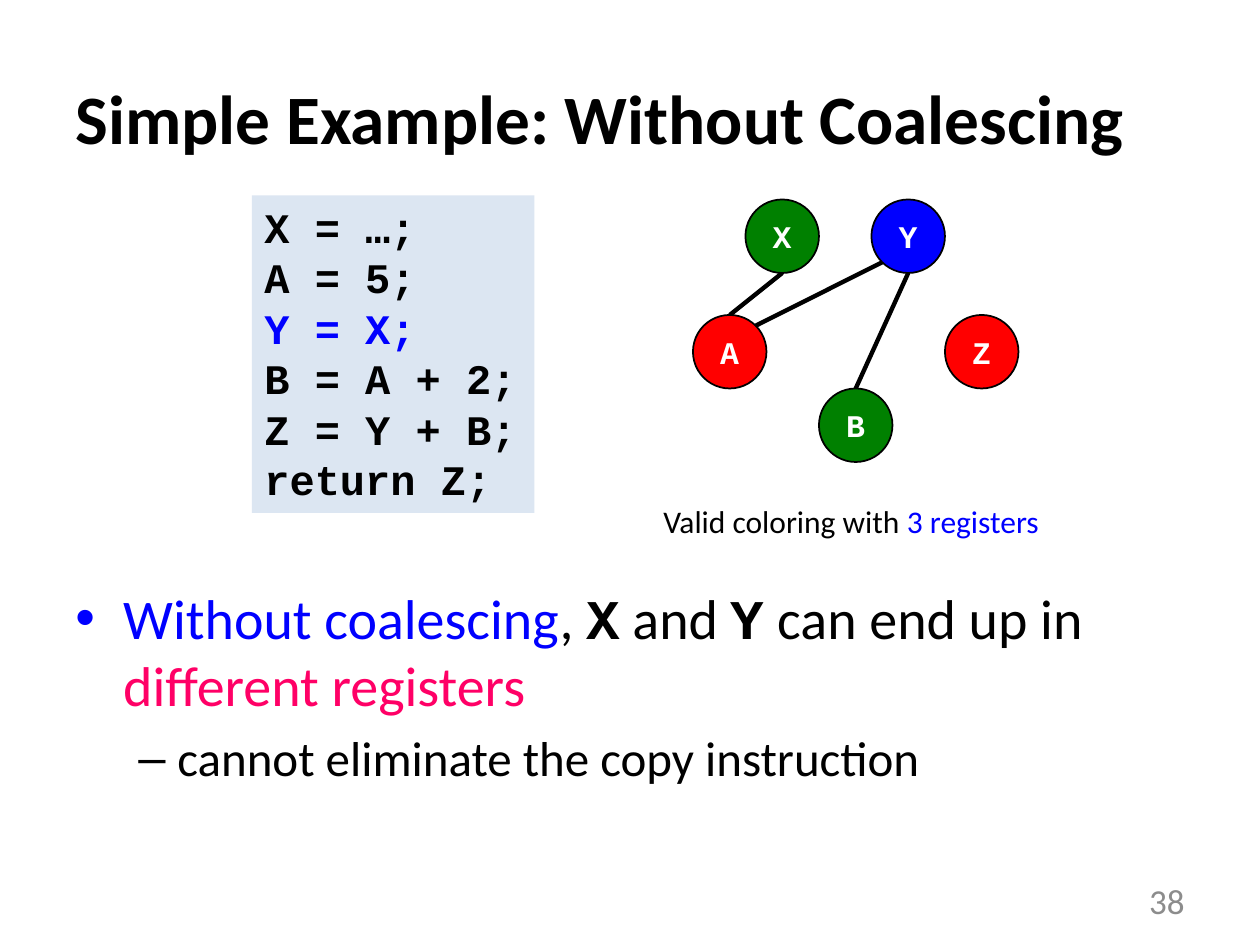
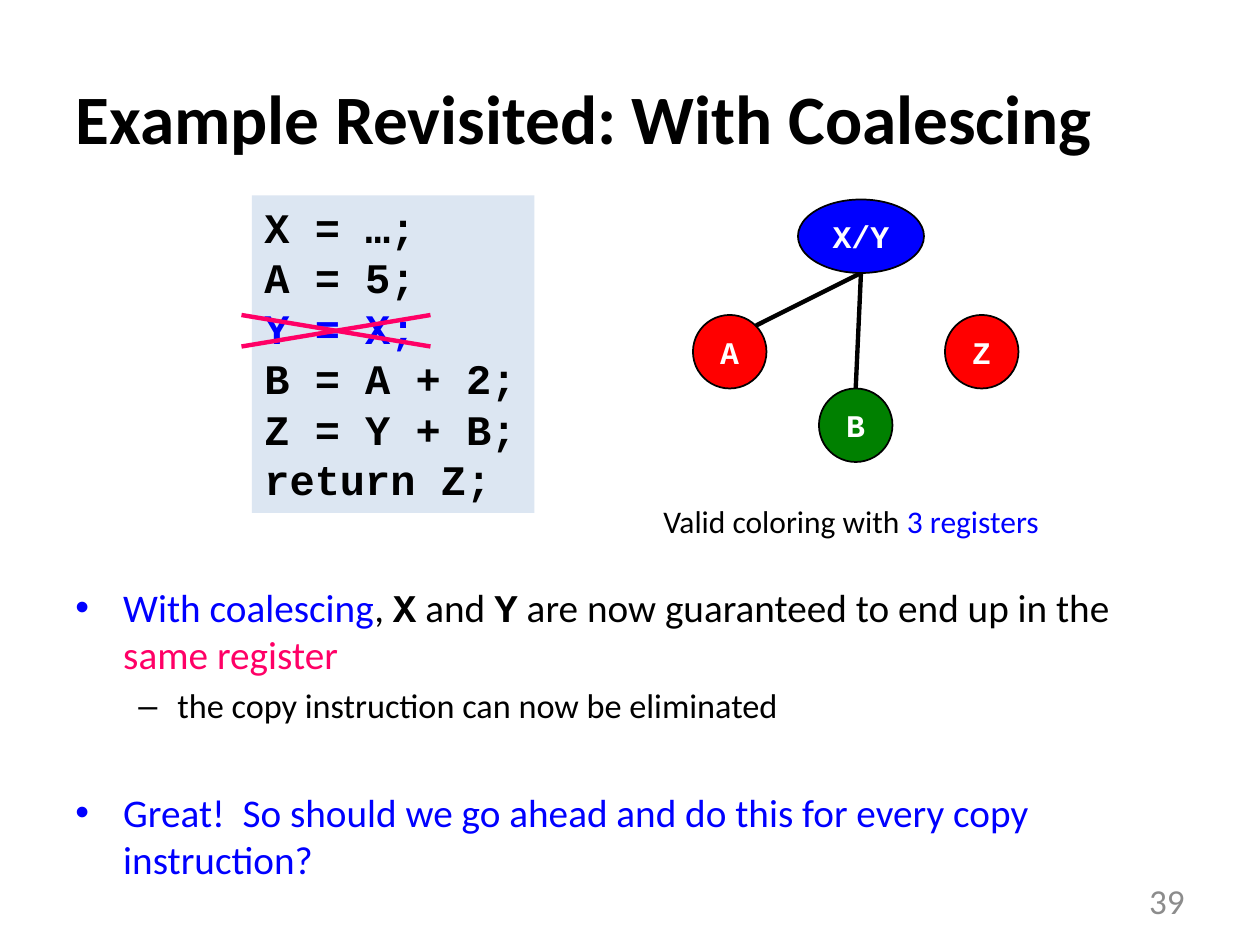
from dataclasses import dataclass
from enum import Enum
from math import sqrt
from typing import NamedTuple, Optional

from lxml.etree import SubElement
from pptx import Presentation
from pptx.dml.color import RGBColor
from pptx.enum.shapes import MSO_AUTO_SHAPE_TYPE as ShapeKind, MSO_CONNECTOR as LineKind
from pptx.enum.text import MSO_ANCHOR as Anchor, MSO_AUTO_SIZE as AutoSize, PP_ALIGN as Align
from pptx.oxml.ns import qn
from pptx.util import Emu, Inches, Pt

COLUMNS, ROWS = 120, 90
CELL = Inches(10) // COLUMNS


@dataclass(frozen=True)
class Theme:
    black: RGBColor = RGBColor(0, 0, 0)
    white: RGBColor = RGBColor(255, 255, 255)
    blue: RGBColor = RGBColor(0, 0, 255)
    red: RGBColor = RGBColor(255, 0, 0)
    green: RGBColor = RGBColor(0, 128, 0)
    pink: RGBColor = RGBColor(255, 0, 102)
    pale: RGBColor = RGBColor(0xDC, 0xE6, 0xF2)
    gray: RGBColor = RGBColor(0x8C, 0x8C, 0x8C)
    sans: str = "Calibri"
    mono: str = "Courier New"
    title: float = 39.6
    bullet: float = 32
    dash: float = 28
    code: float = 24
    number: float = 20
    label: float = 18
    outline: float = 1
    stroke: float = 2.5


THEME = Theme()


class Area(NamedTuple):
    column: float
    row: float
    columns: float
    rows: float

    def lengths(self) -> tuple:
        return tuple(Emu(int(cells * CELL)) for cells in self)


class Span(NamedTuple):
    text: str
    color: RGBColor = THEME.black
    font: str = THEME.sans
    bold: bool = False


class Item(NamedTuple):
    spans: list
    level: int = 0
    gap: float = 0.2


class Level(NamedTuple):
    mark: str
    size: float
    margin: float
    indent: float


class Site(Enum):
    TOP = (0, -1)
    BOTTOM = (0, 1)
    UPPER_RIGHT = (sqrt(0.5), -sqrt(0.5))
    LOWER_LEFT = (-sqrt(0.5), sqrt(0.5))


@dataclass(frozen=True)
class Node:
    name: str
    column: float
    row: float
    fill: RGBColor
    columns: float = 7
    rows: float = 7

    def point(self, site: Site) -> tuple:
        across, down = site.value
        return (self.column + self.columns * (1 + across) / 2,
                self.row + self.rows * (1 + down) / 2)


class Edge(NamedTuple):
    start: Node
    start_site: Site
    end: Node
    end_site: Site


@dataclass(frozen=True)
class Example:
    title: str
    number: int
    nodes: list
    edges: list
    items: list
    scale: float = 1
    copy_crossed: bool = False


TITLE = Area(6, 3.6, 108, 15)
BODY = Area(6, 55, 108, 25)
NUMBER = Area(86, 83.4, 28, 4.8)
CODE = Area(24, 18.6, 26.9, 30.24)
CAPTION = Area(62, 47.2, 39, 4.8)
CROSS = Area(23, 30, 18, 3)

LEVELS = [Level("•", THEME.bullet, 0.38, -0.38), Level("–", THEME.dash, 0.81, -0.31)]
CODE_LINES = ["X = …;", "A = 5;", "Y = X;", "B = A + 2;", "Z = Y + B;", "return Z;"]
COPY_LINE = "Y = X;"


def add_text(para, text: str, *, size: float, color: RGBColor = THEME.black,
             font: str = THEME.sans, bold: bool = False,
             align: Optional[Align] = None) -> None:
    span = para.add_run()
    span.text = text
    span.font.size = Pt(size)
    span.font.name = font
    span.font.bold = bold
    span.font.color.rgb = color
    if align is not None:
        para.alignment = align


def add_box(page, area: Area, wrap: bool = True, anchor: Anchor = Anchor.TOP):
    box = page.shapes.add_textbox(*area.lengths())
    box.text_frame.word_wrap = wrap
    box.text_frame.vertical_anchor = anchor
    return box


def add_paragraphs(frame, count: int) -> list:
    return [frame.paragraphs[0]] + [frame.add_paragraph() for _ in range(count - 1)]


def add_line(page, start: tuple, end: tuple, color: RGBColor) -> None:
    ends = [Emu(int(cells * CELL)) for cells in (*start, *end)]
    line = page.shapes.add_connector(LineKind.STRAIGHT, *ends)
    line.line.color.rgb = color
    line.line.width = Pt(THEME.stroke)
    SubElement(line._element.spPr, qn("a:effectLst"))


def add_title(page, text: str) -> None:
    title = page.shapes.title
    title.left, title.top, title.width, title.height = TITLE.lengths()
    frame = title.text_frame
    frame.auto_size = AutoSize.NONE
    frame.word_wrap = True
    frame.vertical_anchor = Anchor.MIDDLE
    add_text(frame.paragraphs[0], text, size=THEME.title, bold=True, align=Align.LEFT)


def add_number(page, number: int) -> None:
    box = add_box(page, NUMBER, anchor=Anchor.MIDDLE)
    add_text(box.text_frame.paragraphs[0], str(number), size=THEME.number,
             color=THEME.gray, align=Align.RIGHT)


def add_code(page) -> None:
    box = add_box(page, CODE, wrap=False)
    box.fill.solid()
    box.fill.fore_color.rgb = THEME.pale
    for para, text in zip(add_paragraphs(box.text_frame, len(CODE_LINES)), CODE_LINES):
        color = THEME.blue if text == COPY_LINE else THEME.black
        add_text(para, text, size=THEME.code, color=color, font=THEME.mono, bold=True)


def add_caption(page) -> None:
    para = add_box(page, CAPTION, wrap=False).text_frame.paragraphs[0]
    add_text(para, "Valid coloring with ", size=THEME.label)
    add_text(para, "3 registers", size=THEME.label, color=THEME.blue)


def add_node(page, node: Node) -> None:
    area = Area(node.column, node.row, node.columns, node.rows)
    oval = page.shapes.add_shape(ShapeKind.OVAL, *area.lengths())
    oval.shadow.inherit = False
    oval.fill.solid()
    oval.fill.fore_color.rgb = node.fill
    oval.line.color.rgb = THEME.black
    oval.line.width = Pt(THEME.outline)
    frame = oval.text_frame
    frame.word_wrap = False
    frame.vertical_anchor = Anchor.MIDDLE
    add_text(frame.paragraphs[0], node.name, size=THEME.label, color=THEME.white,
             font=THEME.mono, bold=True, align=Align.CENTER)


def add_items(page, items: list, scale: float) -> None:
    frame = add_box(page, BODY).text_frame
    for para, item in zip(add_paragraphs(frame, len(items)), items):
        level = LEVELS[item.level]
        size = level.size * scale
        para.space_before = Pt(size * item.gap)
        properties = para._p.get_or_add_pPr()
        properties.set("marL", str(Inches(level.margin)))
        properties.set("indent", str(Inches(level.indent)))
        SubElement(properties, qn("a:buFont"), typeface="Arial")
        SubElement(properties, qn("a:buChar"), char=level.mark)
        for span in item.spans:
            add_text(para, span.text, size=size, color=span.color,
                     font=span.font, bold=span.bold)


def add_cross(page) -> None:
    left, top, columns, rows = CROSS
    right, bottom = left + columns, top + rows
    add_line(page, (left, bottom), (right, top), THEME.pink)
    add_line(page, (right, bottom), (left, top), THEME.pink)


def add_example(deck, example: Example) -> None:
    page = deck.slides.add_slide(deck.slide_layouts.get_by_name("Title Only"))
    add_title(page, example.title)
    add_items(page, example.items, example.scale)
    add_number(page, example.number)
    add_code(page)
    for edge in example.edges:
        add_line(page, edge.start.point(edge.start_site),
                 edge.end.point(edge.end_site), THEME.black)
    add_caption(page)
    for node in example.nodes:
        add_node(page, node)
    if example.copy_crossed:
        add_cross(page)


def claim(lead: str, middle: str, ending: str) -> Item:
    return Item([
        Span(lead, THEME.blue), Span(", "), Span("X", font=THEME.mono, bold=True),
        Span(" and "), Span("Y", font=THEME.mono, bold=True),
        Span(middle), Span(ending, THEME.pink),
    ])


NODE_A = Node("A", 66, 30, THEME.red)
NODE_Z = Node("Z", 90, 30, THEME.red)
NODE_B = Node("B", 78, 37, THEME.green)
NODE_X = Node("X", 71, 19, THEME.green)
NODE_Y = Node("Y", 83, 19, THEME.blue)
NODE_XY = Node("X/Y", 76, 19, THEME.blue, columns=12)

EXAMPLES = [
    Example(
        title="Simple Example: Without Coalescing",
        number=38,
        nodes=[NODE_A, NODE_Z, NODE_X, NODE_Y, NODE_B],
        edges=[Edge(NODE_Y, Site.LOWER_LEFT, NODE_A, Site.UPPER_RIGHT),
               Edge(NODE_X, Site.BOTTOM, NODE_A, Site.TOP),
               Edge(NODE_Y, Site.BOTTOM, NODE_B, Site.TOP)],
        items=[claim("Without coalescing", " can end up in ", "different registers"),
               Item([Span("cannot eliminate the copy instruction")], level=1)],
    ),
    Example(
        title="Example Revisited: With Coalescing",
        number=39,
        nodes=[NODE_A, NODE_Z, NODE_B, NODE_XY],
        edges=[Edge(NODE_XY, Site.BOTTOM, NODE_A, Site.UPPER_RIGHT),
               Edge(NODE_XY, Site.BOTTOM, NODE_B, Site.TOP)],
        items=[claim("With coalescing", " are now guaranteed to end up in the ", "same register"),
               Item([Span("the copy instruction can now be eliminated")], level=1),
               Item([Span("Great!  So should we go ahead and do this for every copy instruction?",
                          THEME.blue)], gap=1.6)],
        scale=0.7,
        copy_crossed=True,
    ),
]

deck = Presentation()
deck.slide_width, deck.slide_height = Emu(COLUMNS * CELL), Emu(ROWS * CELL)
for example in EXAMPLES:
    add_example(deck, example)
deck.save("out.pptx")
